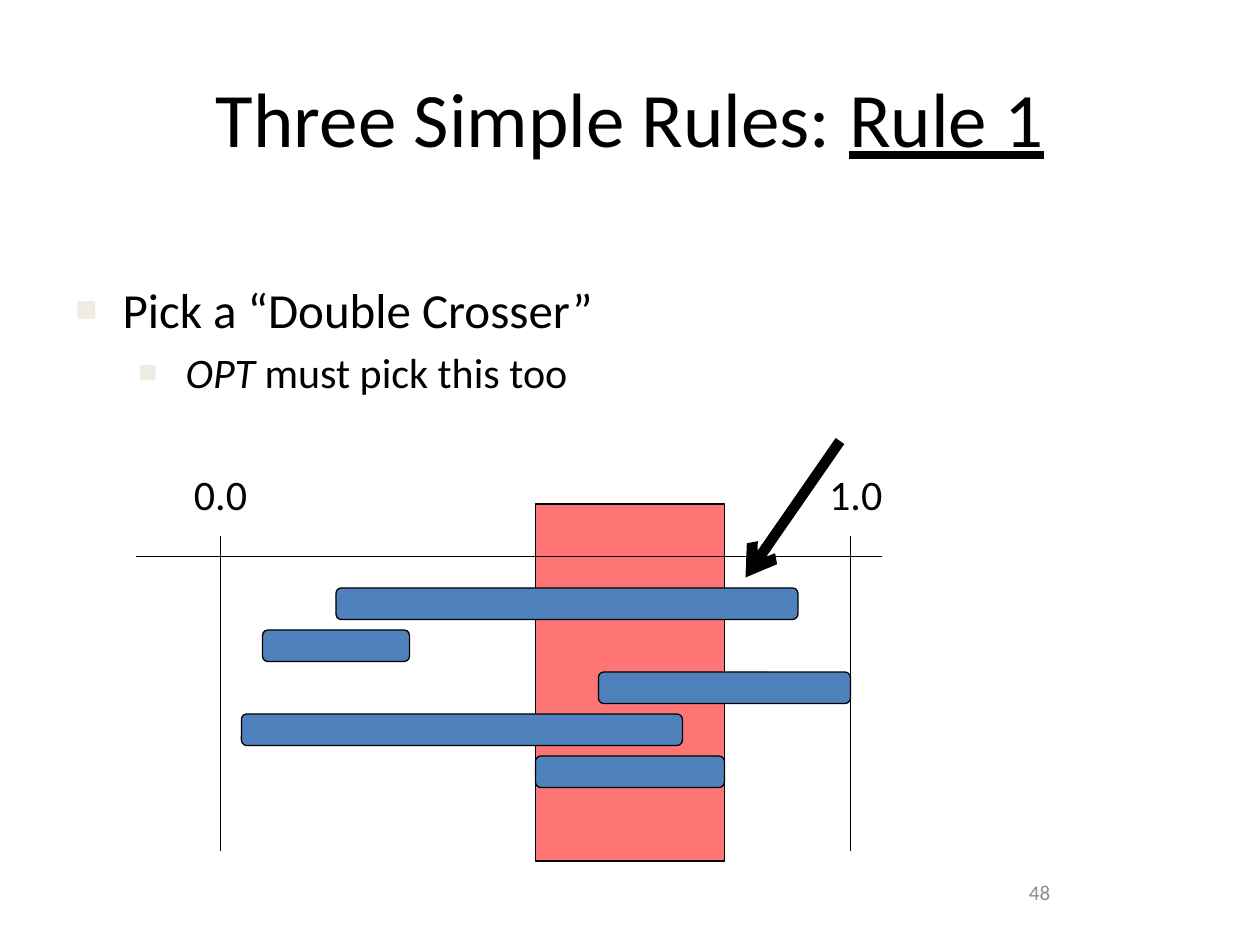
import pptx
import pptx.dml.color
import pptx.enum.shapes
import pptx.enum.text
import pptx.oxml
import pptx.oxml.ns
import pptx.util

RGB = pptx.dml.color.RGBColor
SHAPE = pptx.enum.shapes.MSO_SHAPE
ALIGN = pptx.enum.text.PP_ALIGN
ANCHOR = pptx.enum.text.MSO_ANCHOR
BLACK = RGB(0, 0, 0)
GREY = RGB(0x8C, 0x8C, 0x8C)
RED = RGB(0xFF, 0, 0)
BLUE = RGB(0x4F, 0x81, 0xBD)
BULLET = "EEECE1"
FONT = "Calibri"
PX = 7620  # 120 px to the inch

# Content: runs are (text, extra font format)
TITLE = [("Three Simple Rules: ", {}), ("Rule 1", {"underline": True})]
# Bullets: level, left margin px, size, space before, runs
BULLETS = [
    (0, 45, 28, 0, [("Pick a “Double Crosser”", {})]),
    (1, 105, 24, 5, [("OPT", {"italic": True}), (" must pick this too", {})]),
]
HANGING = 45
# Labels: text, box, size, colour, anchor
LABELS = [
    ("48", (850, 820, 280, 60), 12, GREY, ANCHOR.MIDDLE),
    ("0.0", (170, 440, 80, 61), 24, BLACK, ANCHOR.TOP),
    ("1.0", (770, 440, 90, 61), 24, BLACK, ANCHOR.TOP),
]
AXES = [(210, 510, 210, 810), (810, 510, 810, 810), (130, 530, 840, 530)]
ARROW = (800, 420, 710, 550)
BAND = (510, 480, 180, 340)
# Intervals from top to bottom: left, width
INTERVALS = [(320, 440), (250, 140), (570, 240), (230, 420), (510, 180)]
BAR_TOP, BAR_STEP, BAR_HEIGHT = 560, 40, 30


def emu(lengths):
    return [n * PX for n in lengths]


def add_runs(p, runs, size, color=BLACK):
    for text, extra in runs:
        r = p.add_run()
        r.text = text
        r.font.color.rgb = color
        style = {"name": FONT, "size": pptx.util.Pt(size), **extra}
        for name, value in style.items():
            setattr(r.font, name, value)


def add_xml(parent, tag, **attributes):
    child = pptx.oxml.parse_xml(f"<a:{tag} {pptx.oxml.ns.nsdecls('a')}/>")
    for name, value in attributes.items():
        child.set(name, str(value))
    parent.append(child)
    return child


def add_box(slide, box):
    tf = slide.shapes.add_textbox(*emu(box)).text_frame
    tf.word_wrap = True
    return tf


def add_label(slide, text, box, size, color, anchor):
    tf = add_box(slide, box)
    tf.vertical_anchor = anchor
    p = tf.paragraphs[0]
    p.alignment = ALIGN.CENTER
    add_runs(p, [(text, {})], size, color)


def add_block(slide, kind, box, color):
    s = slide.shapes.add_shape(kind, *emu(box))
    s.shadow.inherit = False
    s.fill.solid()
    s.fill.fore_color.rgb = color
    s.line.color.rgb = BLACK
    s.line.width = pptx.util.Pt(0.75)
    return s


def add_line(slide, ends, width=0.75):
    line = slide.shapes.add_connector(
        pptx.enum.shapes.MSO_CONNECTOR.STRAIGHT, *emu(ends))
    line.line.color.rgb = BLACK
    line.line.width = pptx.util.Pt(width)
    add_xml(line.element.spPr, "effectLst")
    return line


def add_bullet(p, level, margin):
    p.level = level
    pPr = p._p.get_or_add_pPr()
    pPr.set("marL", str(margin * PX))
    pPr.set("indent", str(-HANGING * PX))
    add_xml(add_xml(pPr, "buClr"), "srgbClr", val=BULLET)
    add_xml(pPr, "buSzPct", val=75000)
    add_xml(pPr, "buFont", typeface="Arial")
    add_xml(pPr, "buChar", char="■")


def main():
    prs = pptx.Presentation()
    prs.slide_width, prs.slide_height = emu((1200, 900))
    slide = prs.slides.add_slide(prs.slide_layouts[5])

    # Title
    title = slide.shapes.title
    title.left, title.top, title.width, title.height = emu((60, 36, 1080, 150))
    title.text_frame.vertical_anchor = ANCHOR.MIDDLE
    p = title.text_frame.paragraphs[0]
    p.alignment = ALIGN.CENTER
    add_runs(p, TITLE, 44)

    # Highlighted band, half transparent
    band = add_block(slide, SHAPE.RECTANGLE, BAND, RED)
    color = band.element.spPr.find(".//" + pptx.oxml.ns.qn("a:srgbClr"))
    add_xml(color, "alpha", val=54000)

    # Axes, labels and page number
    for ends in AXES:
        add_line(slide, ends)
    for label in LABELS:
        add_label(slide, *label)

    # Interval bars
    for i, (left, width) in enumerate(INTERVALS):
        box = (left, BAR_TOP + i * BAR_STEP, width, BAR_HEIGHT)
        bar = add_block(slide, SHAPE.ROUNDED_RECTANGLE, box, BLUE)
        bar.adjustments[0] = 0.17

    # Arrow to the double crosser
    arrow = add_line(slide, ARROW, 6)
    add_xml(arrow.line._get_or_add_ln(), "tailEnd", type="arrow")

    # Bullets
    tf = add_box(slide, (60, 260, 1010, 140))
    for i, (level, margin, size, before, runs) in enumerate(BULLETS):
        p = tf.add_paragraph() if i else tf.paragraphs[0]
        p.space_before = pptx.util.Pt(before)
        add_bullet(p, level, margin)
        add_runs(p, runs, size)

    prs.save("out.pptx")


if __name__ == "__main__":
    main()
